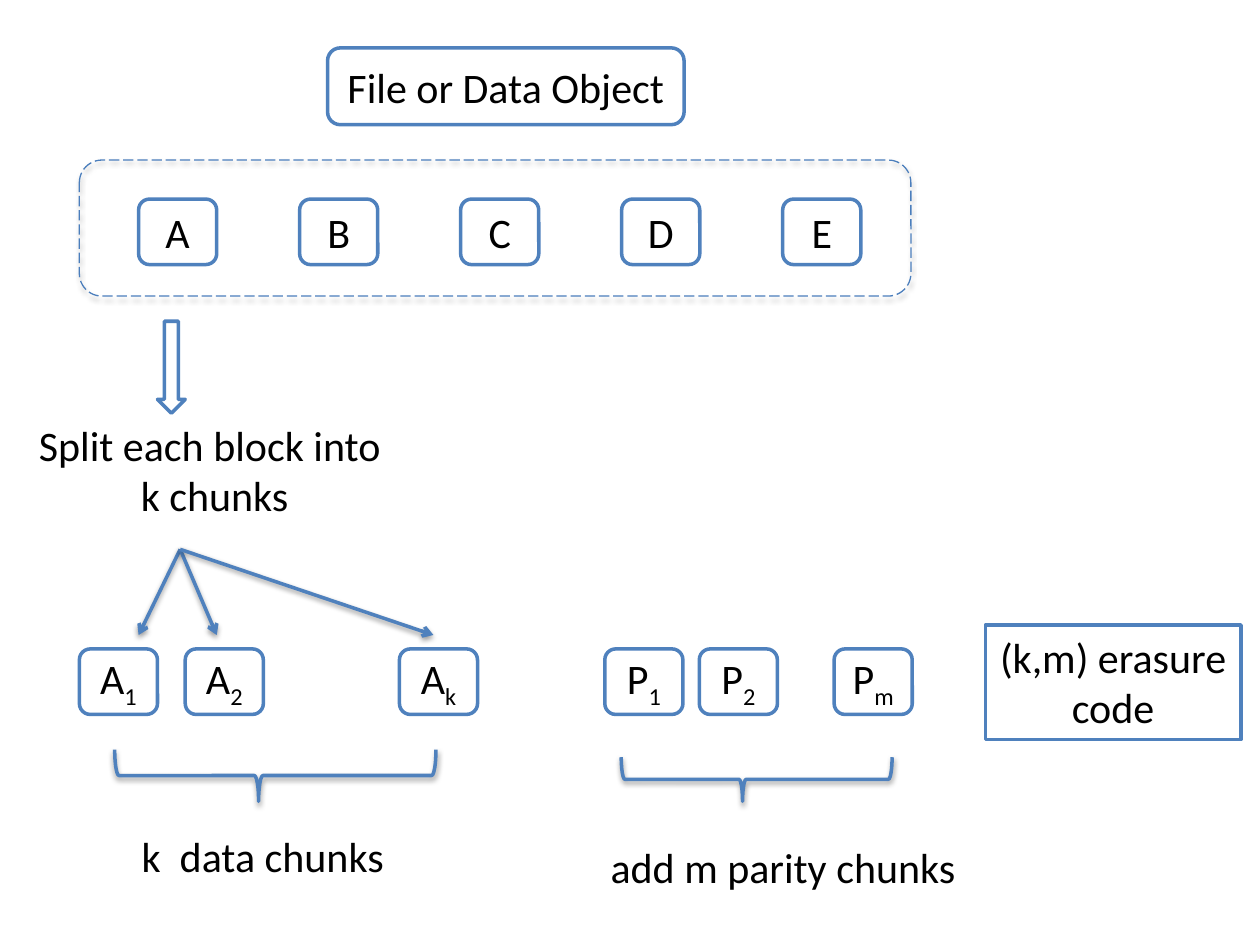
"""Draw how a (k,m) erasure code splits a data object into data and parity chunks."""
from dataclasses import dataclass

from lxml.etree import SubElement
from pptx import Presentation
from pptx.dml.color import RGBColor
from pptx.enum.dml import MSO_LINE
from pptx.enum.shapes import MSO_CONNECTOR, MSO_SHAPE as Preset
from pptx.enum.text import MSO_ANCHOR as Anchor, MSO_AUTO_SIZE as AutoSize, PP_ALIGN
from pptx.oxml.ns import qn
from pptx.util import Inches, Pt

COLUMNS, ROWS = 100, 75
BLUE, WHITE, BLACK = "4F81BD", "FFFFFF", "000000"
CHUNK_COLS, CHUNK_ROWS = 6.2, 5.2

deck = Presentation()
deck.slide_width, deck.slide_height = Inches(10), Inches(7.5)
slide = deck.slides.add_slide(deck.slide_layouts[6])


@dataclass(frozen=True)
class Cell:
    col: float
    row: float
    cols: float
    rows: float

    def emu(self):
        return (across(self.col), down(self.row), across(self.cols), down(self.rows))


@dataclass(frozen=True)
class ChunkGroup:
    letter: str
    columns: dict[str, float]
    brace: Cell


def across(columns: float) -> int:
    return round(deck.slide_width * columns / COLUMNS)


def down(rows: float) -> int:
    return round(deck.slide_height * rows / ROWS)


def colour(code: str) -> RGBColor:
    return RGBColor.from_string(code)


def add_shadow(properties, opacity: int = 38, distance: float = 1.6) -> None:
    effects = properties.find(qn("a:effectLst"))
    if effects is None:
        effects = SubElement(properties, qn("a:effectLst"))
    shadow = SubElement(effects, qn("a:outerShdw"), blurRad=str(Pt(3.1)),
                        dist=str(Pt(distance)), dir="5400000", rotWithShape="0")
    tint = SubElement(shadow, qn("a:srgbClr"), val=BLACK)
    SubElement(tint, qn("a:alpha"), val=str(opacity * 1000))


def write(target, text: str, *, size: float = 24, font: str = "Calibri",
          code: str = BLACK, anchor=Anchor.MIDDLE, fitted: bool = False) -> None:
    frame = target.text_frame
    frame.word_wrap = not fitted
    frame.auto_size = AutoSize.SHAPE_TO_FIT_TEXT if fitted else AutoSize.NONE
    frame.vertical_anchor = anchor
    for number, line in enumerate(text.split("\n")):
        paragraph = frame.add_paragraph() if number else frame.paragraphs[0]
        paragraph.alignment = PP_ALIGN.CENTER
        base, _, subscript = line.partition("_")
        for part in filter(None, (base, subscript)):
            run = paragraph.add_run()
            run.text = part
            run.font.size, run.font.name = Pt(size), font
            run.font.color.rgb = colour(code)
        if subscript:
            run.font._element.set("baseline", "-25000")


def draw(preset, cell: Cell, *, fill: str | None = WHITE,
         line: str | None = BLUE, width: float = 2):
    shape = slide.shapes.add_shape(preset, *cell.emu())
    shape.shadow.inherit = False
    if fill:
        shape.fill.solid()
        shape.fill.fore_color.rgb = colour(fill)
    else:
        shape.fill.background()
    if line:
        shape.line.color.rgb = colour(line)
        shape.line.width = Pt(width)
    else:
        shape.line.fill.background()
    return shape


def draw_box(text: str, cell: Cell) -> None:
    write(draw(Preset.ROUNDED_RECTANGLE, cell), text)


def draw_label(text: str, cell: Cell, line: str | None = None) -> None:
    write(draw(Preset.RECTANGLE, cell, line=line), text, anchor=Anchor.TOP, fitted=True)


def draw_brace(cell: Cell) -> None:
    brace = draw(Preset.RIGHT_BRACE, cell, fill=None)
    brace.adjustments[0], brace.adjustments[1] = 0.083, 0.448
    brace.rotation = 270
    properties = brace._element.spPr
    properties.find(qn("a:xfrm")).set("flipH", "1")
    add_shadow(properties)


def draw_arrow(start: tuple[float, float], end: tuple[float, float]) -> None:
    arrow = slide.shapes.add_connector(
        MSO_CONNECTOR.STRAIGHT, across(start[0]), down(start[1]), across(end[0]), down(end[1]))
    arrow.line.color.rgb = colour(BLUE)
    arrow.line.width = Pt(2)
    SubElement(arrow.line._get_or_add_ln(), qn("a:tailEnd"), type="arrow")
    add_shadow(arrow._element.spPr)


draw_box("File or Data Object", Cell(26, 3.8, 28.3, 6.1))
for index, block in enumerate("ABCDE"):
    draw_box(block, Cell(11 + 12.78 * index, 15.8, CHUNK_COLS, CHUNK_ROWS))

object_frame = draw(Preset.ROUNDED_RECTANGLE, Cell(6.3, 12.7, 66, 10.8),
                    fill=None, line="4B7EBC", width=0.75)
object_frame.line.dash_style = MSO_LINE.LONG_DASH
add_shadow(object_frame._element.spPr, opacity=35, distance=1.8)

chunk_groups = (
    ChunkGroup("A", {"1": 6.3, "2": 14.7, "k": 31.7}, Cell(19.8, 48.8, 4.1, 25.5)),
    ChunkGroup("P", {"1": 48, "2": 55.5, "m": 66.2}, Cell(58.3, 51.1, 3.5, 21.5)),
)
for group in chunk_groups:
    for subscript, column in group.columns.items():
        draw_box(f"{group.letter}_{subscript}", Cell(column, 51.5, CHUNK_COLS, CHUNK_ROWS))
    draw_brace(group.brace)

for arrival in (11, 17.2, 34.4):
    draw_arrow((14.3, 43.6), (arrival, 50.4))

split_step = slide.shapes.add_textbox(*Cell(1.9, 32.8, 29.5, 9.1).emu())
write(split_step, "Split each block into\n k chunks", anchor=Anchor.TOP, fitted=True)
draw(Preset.DOWN_ARROW, Cell(12.5, 25.5, 2.2, 7.3))

draw_label("k  data chunks", Cell(10.1, 65.4, 21.5, 5))
draw_label("add m parity chunks", Cell(47.3, 66.3, 29.7, 5))
draw_label("(k,m) erasure \ncode", Cell(78.2, 49.6, 20.3, 9.1), line=BLUE)

deck.save("out.pptx")
